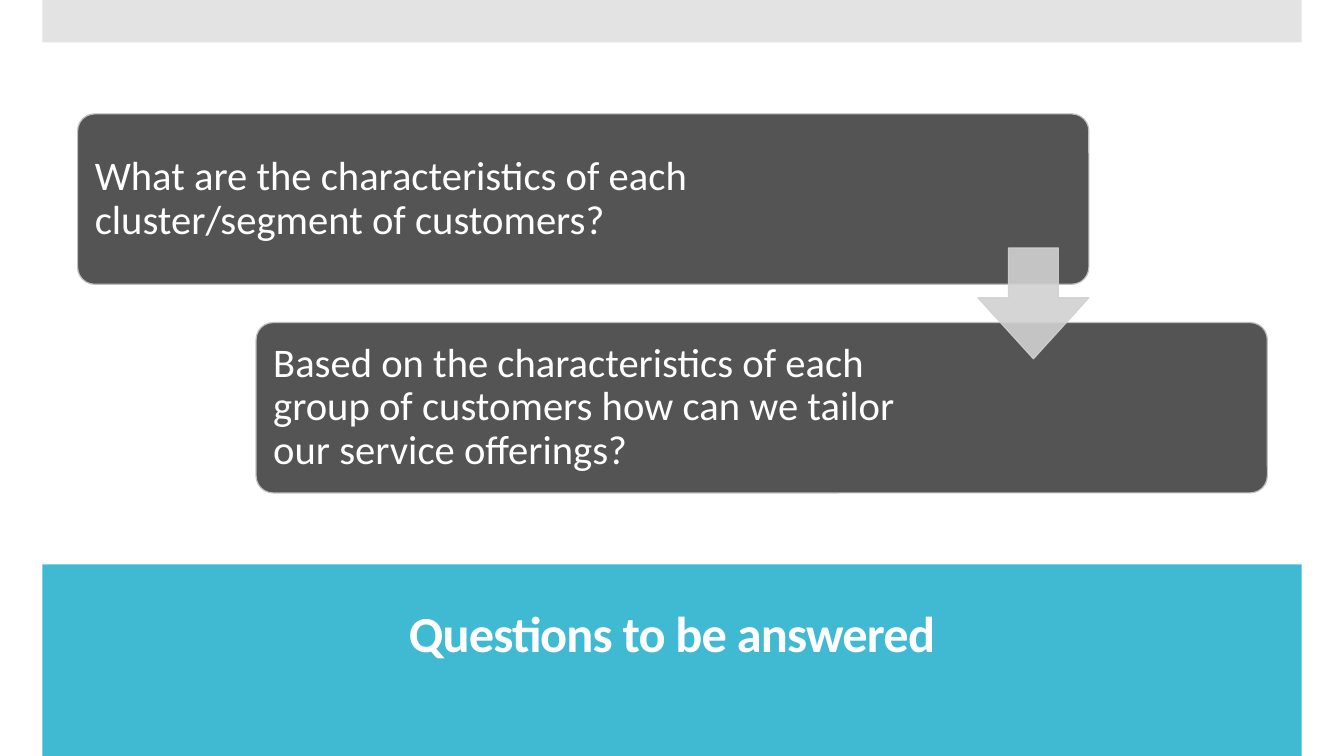
from lxml import etree
from pptx import Presentation
from pptx.dml.color import RGBColor
from pptx.enum.shapes import MSO_SHAPE
from pptx.enum.text import MSO_ANCHOR, PP_ALIGN
from pptx.oxml.ns import qn
from pptx.util import Inches, Pt

RECT, ROUNDED, DOWN = MSO_SHAPE.RECTANGLE, MSO_SHAPE.ROUNDED_RECTANGLE, MSO_SHAPE.DOWN_ARROW
MIDDLE, LEFT, CENTER = MSO_ANCHOR.MIDDLE, PP_ALIGN.LEFT, PP_ALIGN.CENTER
WIDTH, HEIGHT, MARGIN = 13.33, 7.5, 0.42
TITLE_BAND = 1.9
CARD_W, CARD_H = 10.03, 1.69
CARD_LEFT, CARD_TOP = 0.77, 1.13
STEP_X, STEP_Y = 1.77, 2.07
CARD_PAD, TEXT_INSET = 0.05, 0.12
ARROW = 1.1
QUESTIONS = [
    ("What are the characteristics of each cluster/segment of customers?", 8.28),
    ("Based on the characteristics of each group of customers how can we tailor our service offerings?", 7.06),
]


def rgb(value):
    """Turn a hex string into a colour."""
    return RGBColor.from_string(value)


def paint(fill, color, alpha=100):
    """Make a fill solid, with an opacity in percent."""
    fill.solid()
    fill.fore_color.rgb = rgb(color)
    if alpha < 100:
        for clr in fill._xPr.iter(qn("a:srgbClr")):
            etree.SubElement(clr, qn("a:alpha"), val=str(alpha * 1000))


def add_box(shapes, kind, box, color, line=None, alpha=100, adj=()):
    """Add a filled preset shape, with an optional thin outline."""
    sp = shapes.add_shape(kind, *map(Inches, box))
    sp.shadow.inherit = False
    for i, value in enumerate(adj):
        sp.adjustments[i] = value
    paint(sp.fill, color, alpha)
    if line:
        paint(sp.line.fill, line, alpha)
        sp.line.width = Pt(0.85)
    else:
        sp.line.fill.background()
    return sp


def write(tf, text, size, align, bold=False):
    """Write one white paragraph, centred vertically, and return its run."""
    tf.word_wrap = True
    tf.vertical_anchor = MIDDLE
    p = tf.paragraphs[0]
    p.alignment = align
    p.line_spacing = 0.9
    r = p.add_run()
    r.text = text
    r.font.name = "Calibri"
    r.font.size = Pt(size)
    r.font.bold = bold
    r.font.color.rgb = rgb("FFFFFF")
    return r


def add_card(shapes, left, top, text, text_width):
    """Add a question card and its text."""
    add_box(shapes, ROUNDED, (left, top, CARD_W, CARD_H), "545454", "BFBFBF", adj=[0.1])
    box = (left + CARD_PAD, top + CARD_PAD, text_width, CARD_H - 2 * CARD_PAD)
    tf = shapes.add_textbox(*map(Inches, box)).text_frame
    tf.margin_left = tf.margin_right = tf.margin_top = tf.margin_bottom = Inches(TEXT_INSET)
    write(tf, text, 29, LEFT)


def add_title(s, text):
    """Place the title on its band at the foot of the slide."""
    title = s.shapes.title
    band = add_box(s.shapes, RECT,
                   (MARGIN, HEIGHT - TITLE_BAND, WIDTH - 2 * MARGIN, TITLE_BAND), "40BAD2")
    title.element.addprevious(band.element)
    title.left, title.top, title.width, title.height = map(Inches, (0.7, 5.75, 11.93, 1.12))
    r = write(title.text_frame, text, 36, CENTER, bold=True)
    r.font._element.set("spc", "-60")


def main():
    """Build and save the slide."""
    prs = Presentation()
    prs.slide_width, prs.slide_height = Inches(WIDTH), Inches(HEIGHT)
    s = prs.slides.add_slide(prs.slide_layouts[5])
    paint(s.background.fill, "FFFFFF")
    add_title(s, "Questions to be answered")
    add_box(s.shapes, RECT, (MARGIN, 0, WIDTH - 2 * MARGIN, MARGIN), "C8C8C8", alpha=50)
    steps = s.shapes.add_group_shape().shapes
    for i, (text, text_width) in enumerate(QUESTIONS):
        add_card(steps, CARD_LEFT + i * STEP_X, CARD_TOP + i * STEP_Y, text, text_width)
    gap_middle = CARD_TOP + (CARD_H + STEP_Y) / 2
    arrow_box = (CARD_LEFT + CARD_W - ARROW, gap_middle - ARROW / 2, ARROW, ARROW)
    add_box(steps, DOWN, arrow_box, "D1D1D1", "D1D1D1", alpha=90, adj=[0.45, 0.55])
    prs.save("out.pptx")


if __name__ == "__main__":
    main()
